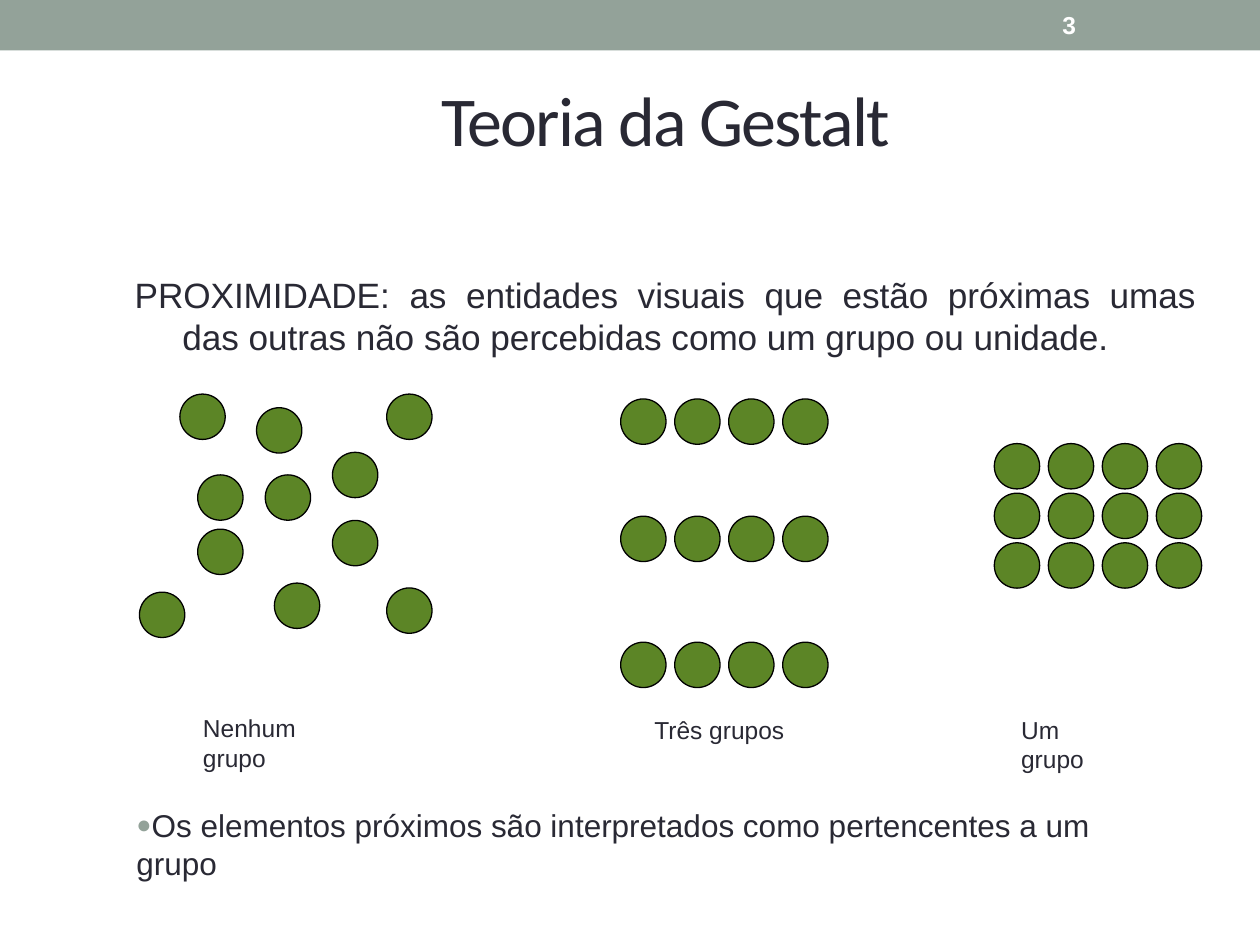
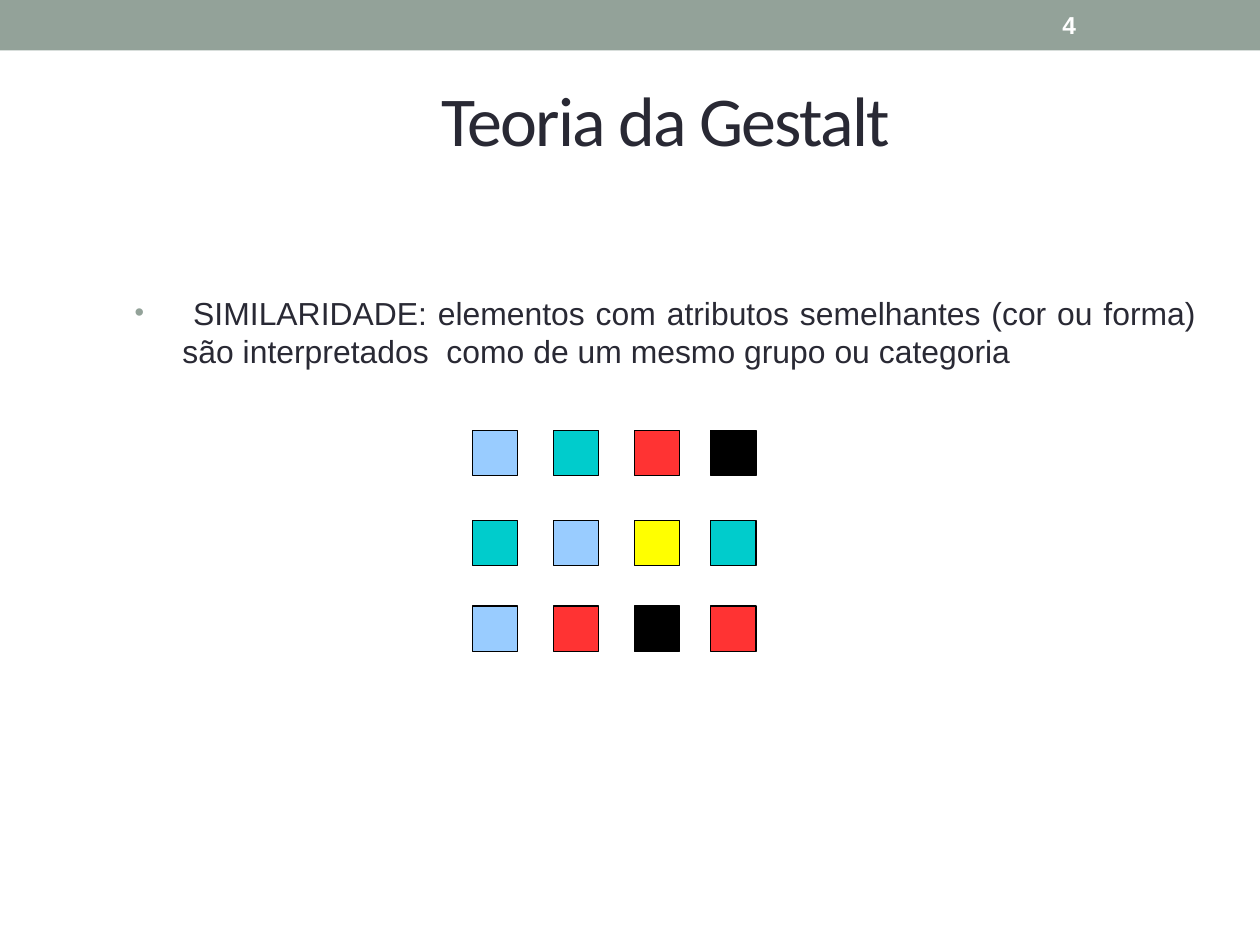
from lxml import etree
from pptx import Presentation
from pptx.dml.color import RGBColor
from pptx.enum.shapes import MSO_SHAPE
from pptx.enum.text import MSO_ANCHOR, PP_ALIGN
from pptx.oxml.ns import qn
from pptx.util import Pt

OVAL, RECT = MSO_SHAPE.OVAL, MSO_SHAPE.RECTANGLE
LEFT, CENTER, JUSTIFY = PP_ALIGN.LEFT, PP_ALIGN.CENTER, PP_ALIGN.JUSTIFY
TOP, MIDDLE = MSO_ANCHOR.TOP, MSO_ANCHOR.MIDDLE

HUES = {
    "band": "93A299", "ink": "292934", "white": "FFFFFF", "line": "000000",
    "green": "5C8526", "blue": "99CCFF", "teal": "00CCCC", "red": "FF3333",
    "yellow": "FFFF00", "black": "000000",
}
SIDE = 25.9      # width and height of every dot and square
HANG = 27.3      # hanging indent of the body text
TIE = chr(160)   # no-break space, keeps two words on one line


def add_mark(slide, kind, box, hue, edge=True):
    shape = slide.shapes.add_shape(kind, *map(Pt, box))
    shape.shadow.inherit = False
    shape.fill.solid()
    shape.fill.fore_color.rgb = RGBColor.from_string(HUES[hue])
    if edge:
        shape.line.color.rgb = RGBColor.from_string(HUES["line"])
        shape.line.width = Pt(0.75)
    else:
        shape.line.fill.background()


def add_text(slide, text, box, size, hue="ink", font="Arial", bold=False, align=LEFT,
             anchor=TOP, inset=(7.2, 3.6), hang=0, bullet=None, track=0):
    """Add a one-paragraph box; inset is (sides, top), bullet is (sign, percent)."""
    frame = slide.shapes.add_textbox(*map(Pt, box)).text_frame
    frame.word_wrap = True
    frame.vertical_anchor = anchor
    frame.margin_left = frame.margin_right = Pt(inset[0])
    frame.margin_top, frame.margin_bottom = Pt(inset[1]), Pt(inset[0] / 2)
    frame.text = text
    para = frame.paragraphs[0]
    para.alignment = align
    props = para._p.get_or_add_pPr()
    if hang:
        props.set("marL", str(Pt(hang)))
        props.set("indent", str(Pt(-hang)))
    if bullet:
        sign, share = bullet
        tint = etree.SubElement(props, qn("a:buClr"))
        etree.SubElement(tint, qn("a:srgbClr"), val=HUES["band"])
        etree.SubElement(props, qn("a:buSzPct"), val=str(share * 1000))
        etree.SubElement(props, qn("a:buFont"), typeface="Arial")
        etree.SubElement(props, qn("a:buChar"), char=sign)
    run = para.runs[0]
    run.font.size, run.font.name, run.font.bold = Pt(size), font, bold
    run.font.color.rgb = RGBColor.from_string(HUES[hue])
    if track:
        run._r.get_or_add_rPr().set("spc", str(track * 100))


deck = Presentation()
deck.slide_width, deck.slide_height = Pt(720), Pt(540)

# Band, title and page number on both slides
pages = []
for num in (3, 4):
    page = deck.slides.add_slide(deck.slide_layouts[6])
    add_mark(page, RECT, (0, 0, 720, 28.8), "band", edge=False)
    add_text(page, "Teoria da Gestalt", (77, 24.5, 607, 83.5), 40, font="Calibri",
             align=CENTER, anchor=MIDDLE, inset=(0, 2.9), track=-1)
    add_text(page, str(num), (600, 1.4, 84, 26), 14, hue="white", bold=True, anchor=MIDDLE)
    pages.append(page)
near, alike = pages

# Proximity: loose dots, three rows, one block
add_text(near, "PROXIMIDADE: as entidades visuais que estão próximas umas "
         f"das{TIE}outras não são percebidas como um grupo ou unidade.",
         (77, 126.7, 606.5, 80), 20.1, align=JUSTIFY, inset=(0, 29.4), hang=HANG)

loose = [(102.8, 225.2), (151.6, 271.4), (113, 271.4), (113, 302.4), (146.6, 233),
         (190, 258.5), (190, 297.4), (156.8, 333.2), (221, 336), (221, 225.2), (79.7, 338.4)]
step = 30.86
rows = [(354.7 + col * step, top) for top in (228, 295, 367) for col in range(4)]
block = [(568.2 + col * step, 253.5 + row * 28.35) for row in range(3) for col in range(4)]
for left, top in loose + rows + block:
    add_mark(near, OVAL, (left, top, SIDE, SIDE), "green")

for label, left, top, width in [("Nenhum grupo", 108.9, 404, 104),
                                ("Três grupos", 366.8, 405, 92),
                                ("Um grupo", 576.4, 405, 73)]:
    add_text(near, label, (left, top, width, 24), 14)
add_text(near, "Os elementos próximos são interpretados como pertencentes a um grupo",
         (70.9, 457.2, 605, 48), 18, bullet=("●", 80))

# Similarity: squares that share colours
add_text(alike, " SIMILARIDADE: elementos com atributos semelhantes (cor ou forma) "
         "são interpretados  como de um mesmo grupo ou categoria",
         (77, 166.3, 607, 46), 18.2, align=JUSTIFY, inset=(0, 1.4), hang=HANG,
         bullet=("•", 85))

lefts = (270, 316.2, 362.4, 406.2)
grid = [(246, "blue teal red black"),
        (297.4, "teal blue yellow teal"),
        (346.3, "blue red black red")]
for top, hues in grid:
    for left, hue in zip(lefts, hues.split()):
        add_mark(alike, RECT, (left, top, SIDE, SIDE), hue)

deck.save("out.pptx")
